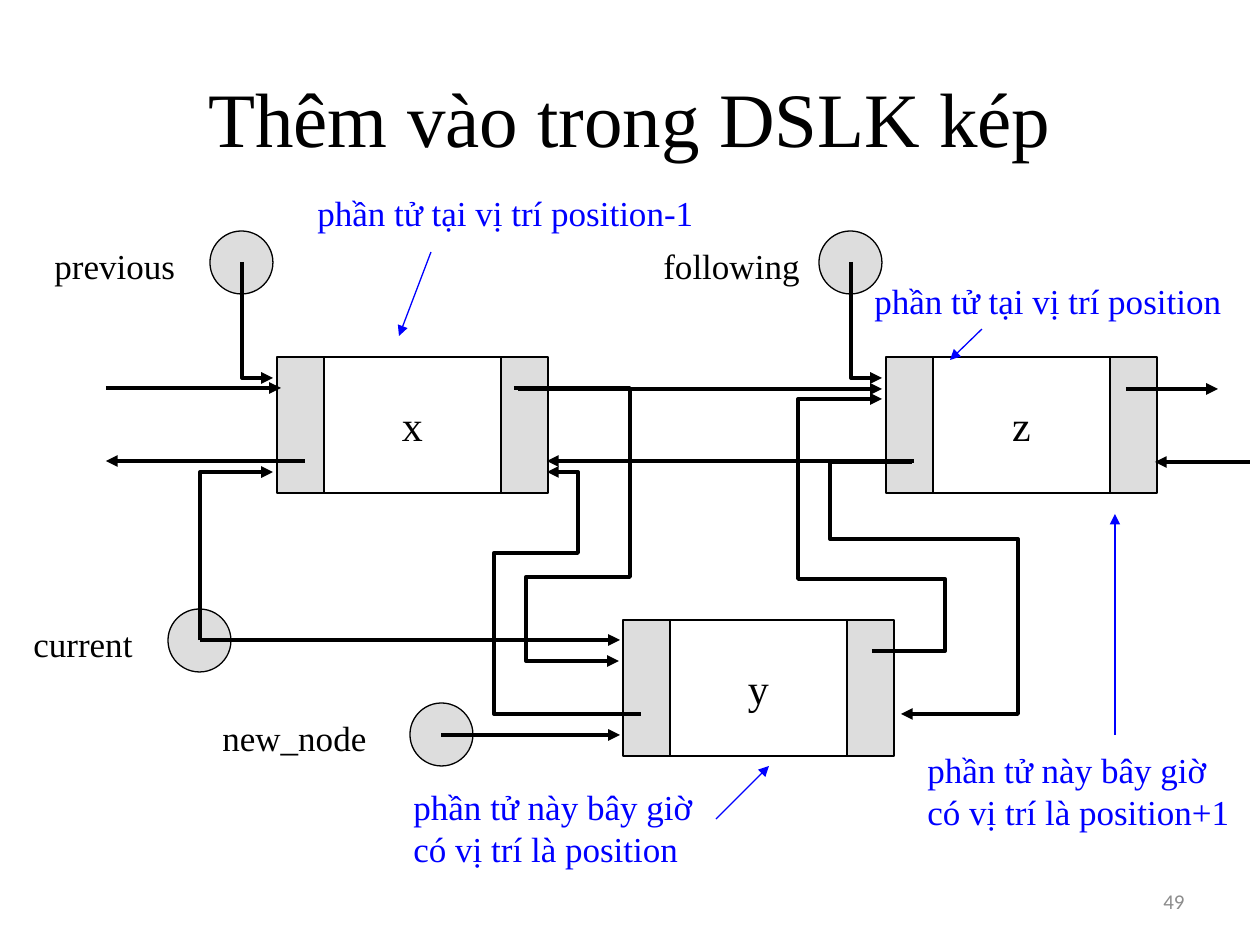
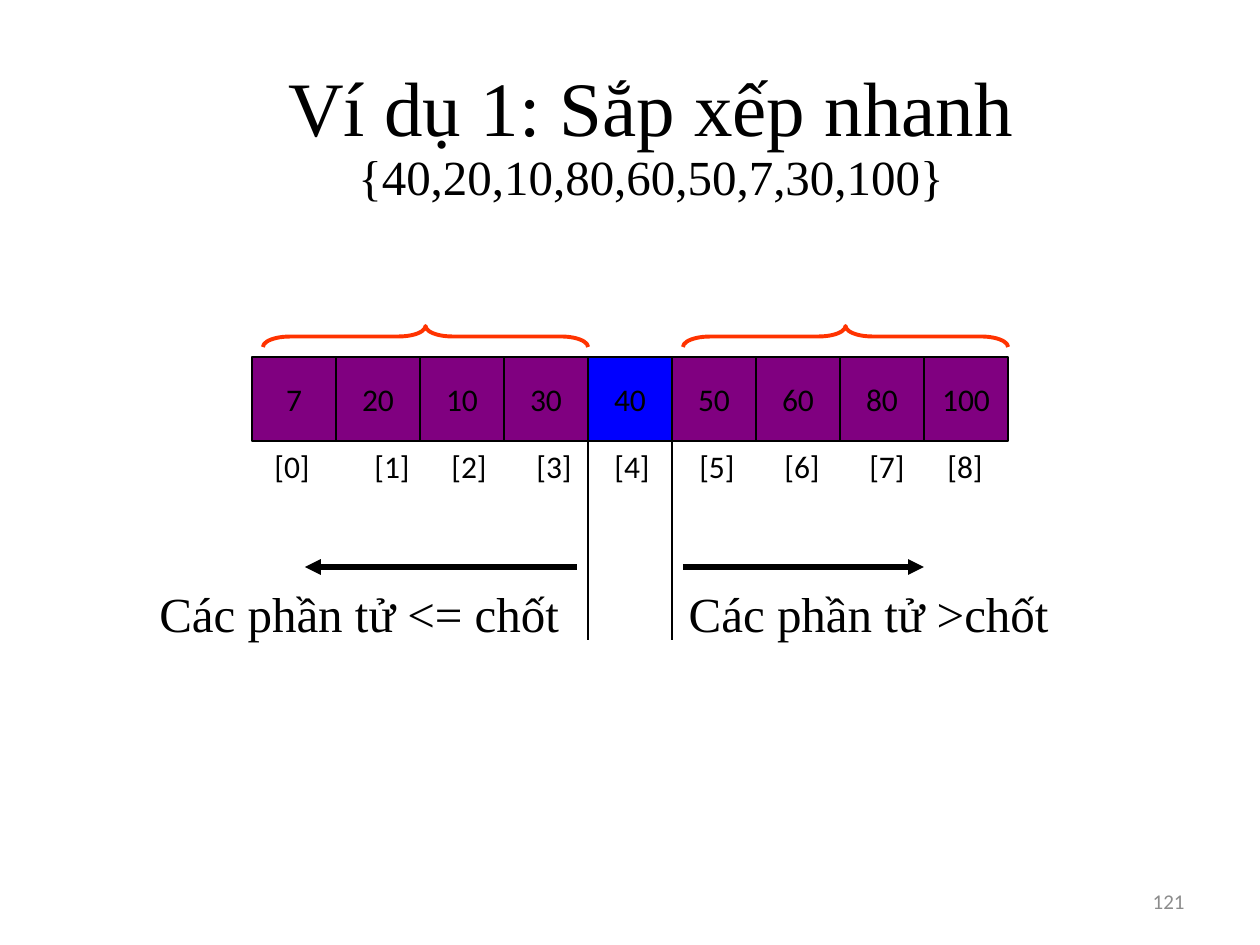
"""Build two slides: insertion in a doubly linked list, and a quicksort partition."""
from dataclasses import dataclass

from lxml import etree
from pptx import Presentation
from pptx import util as u
from pptx.dml import color as c
from pptx.enum import shapes, text
from pptx.oxml import ns

EMU_PER_PX = 914400 / 126
Point = tuple[int, int]


@dataclass(frozen=True)
class Theme:
    """Colours, fonts, type sizes and line widths of the deck."""
    ink: str = "000000"
    paper: str = "FFFFFF"
    link_fill: str = "DDDDDD"
    note: str = "0000FF"
    number: str = "8C8C8C"
    cell: str = "800080"
    pivot: str = "0000FF"
    brace: str = "FF3300"
    serif: str = "Times New Roman"
    sans: str = "Calibri"
    title_size: int = 44
    side_size: int = 28
    node_size: int = 24
    label_size: int = 20
    cell_size: int = 18
    number_size: int = 12
    thin: float = 0.75
    medium: float = 2.25
    thick: float = 3


THEME = Theme()


@dataclass(frozen=True)
class Area:
    """A rectangle in px."""
    left: int
    top: int
    width: int
    height: int


@dataclass(frozen=True)
class Node:
    """A list node: a value between two link fields."""
    value: str
    left: int
    top: int


@dataclass(frozen=True)
class Pointer:
    """A named pointer: its label and the corner of its circle."""
    name: str
    label: Area
    left: int
    top: int


@dataclass(frozen=True)
class Note:
    """A coloured remark with a thin arrow to what it describes."""
    words: str
    area: Area
    arrow: tuple[Point, Point]


NODES = (Node("x", 277, 357), Node("y", 623, 620), Node("z", 886, 357))
POINTERS = (
    Pointer("current", Area(21, 616, 128, 55), 168, 609),
    Pointer("previous", Area(42, 238, 150, 55), 210, 231),
    Pointer("following", Area(651, 238, 166, 55), 819, 231),
    Pointer("new_node", Area(210, 710, 174, 55), 410, 703),
)
ROUTES: tuple[tuple[Point, ...], ...] = (
    ((518, 389), (882, 389)),
    ((305, 461), (106, 461)),
    ((1126, 389), (1218, 389)),
    ((914, 461), (547, 461)),
    ((1250, 462), (1155, 462)),
    ((106, 388), (281, 388)),
    ((200, 640), (620, 640)),
    ((441, 735), (620, 735)),
    ((242, 262), (242, 378), (273, 378)),
    ((851, 262), (851, 378), (882, 378)),
    ((200, 640), (200, 472), (273, 472)),
    ((872, 651), (945, 651), (945, 579), (798, 579), (798, 399), (882, 399)),
    ((912, 462), (830, 462), (830, 539), (1018, 539), (1018, 714), (901, 714)),
    ((641, 714), (494, 714), (494, 553), (578, 553), (578, 472), (547, 472)),
    ((514, 388), (630, 388), (630, 577), (526, 577), (526, 661), (619, 661)),
)
NOTES = (
    Note("phần tử tại vị trí position-1", Area(305, 185, 406, 55),
         ((431, 252), (399, 336))),
    Note("phần tử tại vị trí position", Area(862, 273, 377, 55),
         ((982, 329), (950, 360))),
    Note("phần tử này bây giờ\ncó vị trí là position", Area(401, 779, 309, 97),
         ((716, 819), (769, 766))),
    Note("phần tử này bây giờ\ncó vị trí là position+1", Area(915, 742, 332, 97),
         ((1115, 735), (1115, 514))),
)
VALUES = (7, 20, 10, 30, 40, 50, 60, 80, 100)
PIVOT_INDEX = 4
INDEX_TABS = (100, 177, 262, 340, 425, 510, 595, 673)


def px(length: float) -> u.Emu:
    """Turn px into EMU."""
    return u.Emu(round(length * EMU_PER_PX))


def place(area: Area) -> tuple[u.Emu, ...]:
    """Give an area as the four lengths a shape needs."""
    return px(area.left), px(area.top), px(area.width), px(area.height)


def write(box, words: str, *, size: int, sub_size: int | None = None,
          font: str = THEME.serif, ink: str = THEME.ink, align: str = "LEFT",
          anchor: str = "TOP", wrap: bool = False, grow: bool = False,
          indent: int = 0, spacing: float | None = None,
          tabs: tuple[int, ...] = ()) -> None:
    """Fill a box with one formatted paragraph per line of words."""
    frame = box.text_frame
    frame.word_wrap = wrap
    frame.vertical_anchor = text.MSO_ANCHOR[anchor]
    frame.auto_size = text.MSO_AUTO_SIZE["SHAPE_TO_FIT_TEXT" if grow else "NONE"]
    for row, line in enumerate(words.split("\n")):
        para = frame.add_paragraph() if row else frame.paragraphs[0]
        para.alignment = text.PP_ALIGN[align]
        if spacing:
            para.line_spacing = spacing
        properties = para._p.get_or_add_pPr()
        if indent:
            properties.set("marL", str(px(indent)))
        if tabs:
            stops = etree.SubElement(properties, ns.qn("a:tabLst"))
            for stop in tabs:
                etree.SubElement(stops, ns.qn("a:tab"), pos=str(px(stop)), algn="l")
        span = para.add_run()
        span.text = line
        span.font.name = font
        span.font.size = u.Pt(sub_size if row and sub_size else size)
        span.font.color.rgb = c.RGBColor.from_string(ink)


def add_text(page, area: Area, words: str, **style) -> None:
    """Add a text box in the given format."""
    write(page.shapes.add_textbox(*place(area)), words, **style)


def stroke(shape, ink: str, width: float, arrow: bool = False) -> None:
    """Set a line's colour and width, and its arrowhead if wanted."""
    shape.line.color.rgb = c.RGBColor.from_string(ink)
    shape.line.width = u.Pt(width)
    if arrow:
        outline = shape._element.spPr.find(ns.qn("a:ln"))
        etree.SubElement(outline, ns.qn("a:tailEnd"), type="triangle")


def add_block(page, kind: str, area: Area, fill: str | None,
              ink: str = THEME.ink, width: float = THEME.thin):
    """Add a flat preset shape, without a fill if none is named."""
    block = page.shapes.add_shape(shapes.MSO_SHAPE[kind], *place(area))
    block.shadow.inherit = False
    if fill:
        block.fill.solid()
        block.fill.fore_color.rgb = c.RGBColor.from_string(fill)
    else:
        block.fill.background()
    stroke(block, ink, width)
    return block


def add_route(page, points: tuple[Point, ...], ink: str = THEME.ink,
              width: float = THEME.medium, arrow: bool = True) -> None:
    """Draw a straight connector, or an open outline through several points."""
    if len(points) == 2:
        ends = [px(length) for point in points for length in point]
        route = page.shapes.add_connector(shapes.MSO_CONNECTOR.STRAIGHT, *ends)
        stroke(route, ink, width, arrow)
        etree.SubElement(route._element.spPr, ns.qn("a:effectLst"))
        return
    builder = page.shapes.build_freeform(*points[0], scale=EMU_PER_PX)
    builder.add_line_segments(points[1:], close=False)
    route = builder.convert_to_shape()
    route.shadow.inherit = False
    route.fill.background()
    stroke(route, ink, width, arrow)


def add_node(page, node: Node) -> None:
    """Draw a node's value field and the link field on each side."""
    link, middle, height = 47, 177, 136
    value = add_block(page, "RECTANGLE",
                      Area(node.left + link, node.top, middle, height), THEME.paper)
    write(value, node.value, size=THEME.node_size, align="CENTER", anchor="MIDDLE")
    for left in (node.left, node.left + link + middle):
        add_block(page, "RECTANGLE", Area(left, node.top, link, height),
                  THEME.link_fill)


def start_page(deck, title: str, left: int, top: int, number: int, **style):
    """Add a blank page with its title and page number."""
    page = deck.slides.add_slide(deck.slide_layouts[6])
    add_text(page, Area(left, top, 1134, 158), title, size=THEME.title_size,
             align="CENTER", anchor="MIDDLE", wrap=True, **style)
    add_text(page, Area(903, 876, 294, 50), str(number), size=THEME.number_size,
             font=THEME.sans, ink=THEME.number, align="RIGHT", anchor="MIDDLE",
             wrap=True)
    return page


def build_insertion(deck) -> None:
    """Build the slide on insertion in a doubly linked list."""
    page = start_page(deck, "Thêm vào trong DSLK kép", 63, 38, 49)
    for node in NODES:
        add_node(page, node)
    for pointer in POINTERS:
        add_block(page, "OVAL", Area(pointer.left, pointer.top, 63, 63),
                  THEME.link_fill)
        add_text(page, pointer.label, pointer.name, size=THEME.label_size)
    for route in ROUTES:
        add_route(page, route)
    for note in NOTES:
        add_text(page, note.area, note.words, size=THEME.label_size,
                 ink=THEME.note, grow=True)
        add_route(page, note.arrow, THEME.note, THEME.thin)


def build_partition(deck) -> None:
    """Build the slide on the array after its partition around the pivot."""
    page = start_page(deck, "Ví dụ 1: Sắp xếp nhanh\n{40,20,10,80,60,50,7,30,100}",
                      84, 59, 121, sub_size=THEME.side_size, spacing=0.9)
    left, top, side = 252, 357, 84
    for index, value in enumerate(VALUES):
        fill = THEME.pivot if index == PIVOT_INDEX else THEME.cell
        cell = add_block(page, "RECTANGLE",
                         Area(left + index * side, top, side, side), fill)
        write(cell, str(value), size=THEME.cell_size, font=THEME.sans,
              align="CENTER", anchor="MIDDLE")
    for edge in (PIVOT_INDEX, PIVOT_INDEX + 1):
        x = left + edge * side
        add_route(page, ((x, top), (x, 640)), width=THEME.thin, arrow=False)
    for start, end in ((577, 305), (683, 924)):
        add_route(page, ((start, 567), (end, 567)), width=THEME.thick)
    for brace_left in (415, 835):
        brace = add_block(page, "LEFT_BRACE", Area(brace_left, 174, 21, 325), None,
                          THEME.brace, THEME.medium)
        brace.rotation = 90
        brace.adjustments[0] = 1.29
    add_text(page, Area(262, 441, 746, 50),
             "\t".join(f"[{index}]" for index in range(len(VALUES))),
             size=THEME.cell_size, font=THEME.sans, wrap=True, grow=True,
             tabs=INDEX_TABS)
    add_text(page, Area(84, 577, 504, 72), "Các phần tử <= chốt",
             size=THEME.side_size, wrap=True, grow=True, indent=63)
    add_text(page, Area(609, 577, 452, 72), "Các phần tử >chốt",
             size=THEME.side_size, align="RIGHT", grow=True, indent=63)


def main() -> None:
    """Build and save the deck."""
    deck = Presentation()
    deck.slide_width, deck.slide_height = px(1260), px(945)
    build_insertion(deck)
    build_partition(deck)
    deck.save("out.pptx")


if __name__ == "__main__":
    main()
